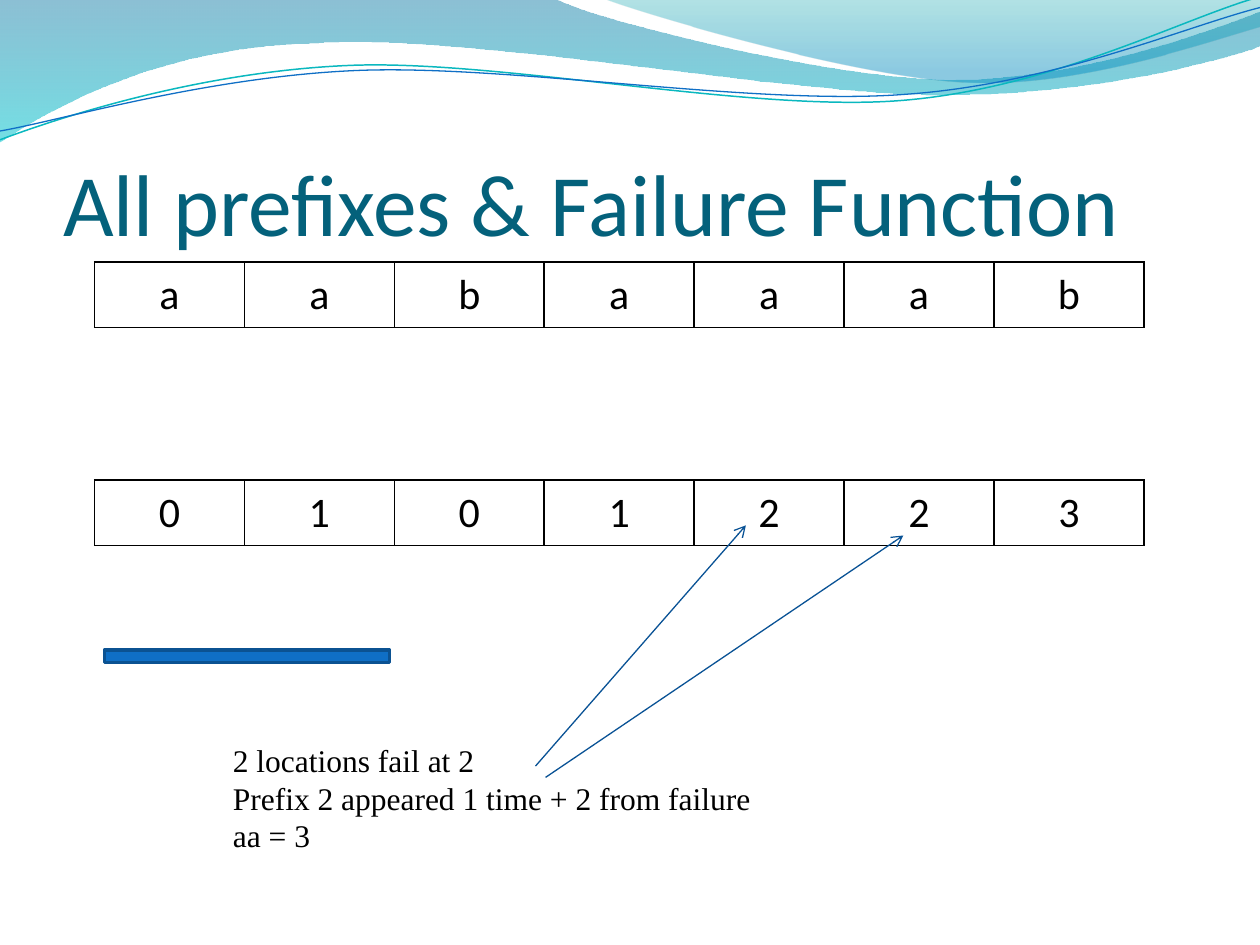
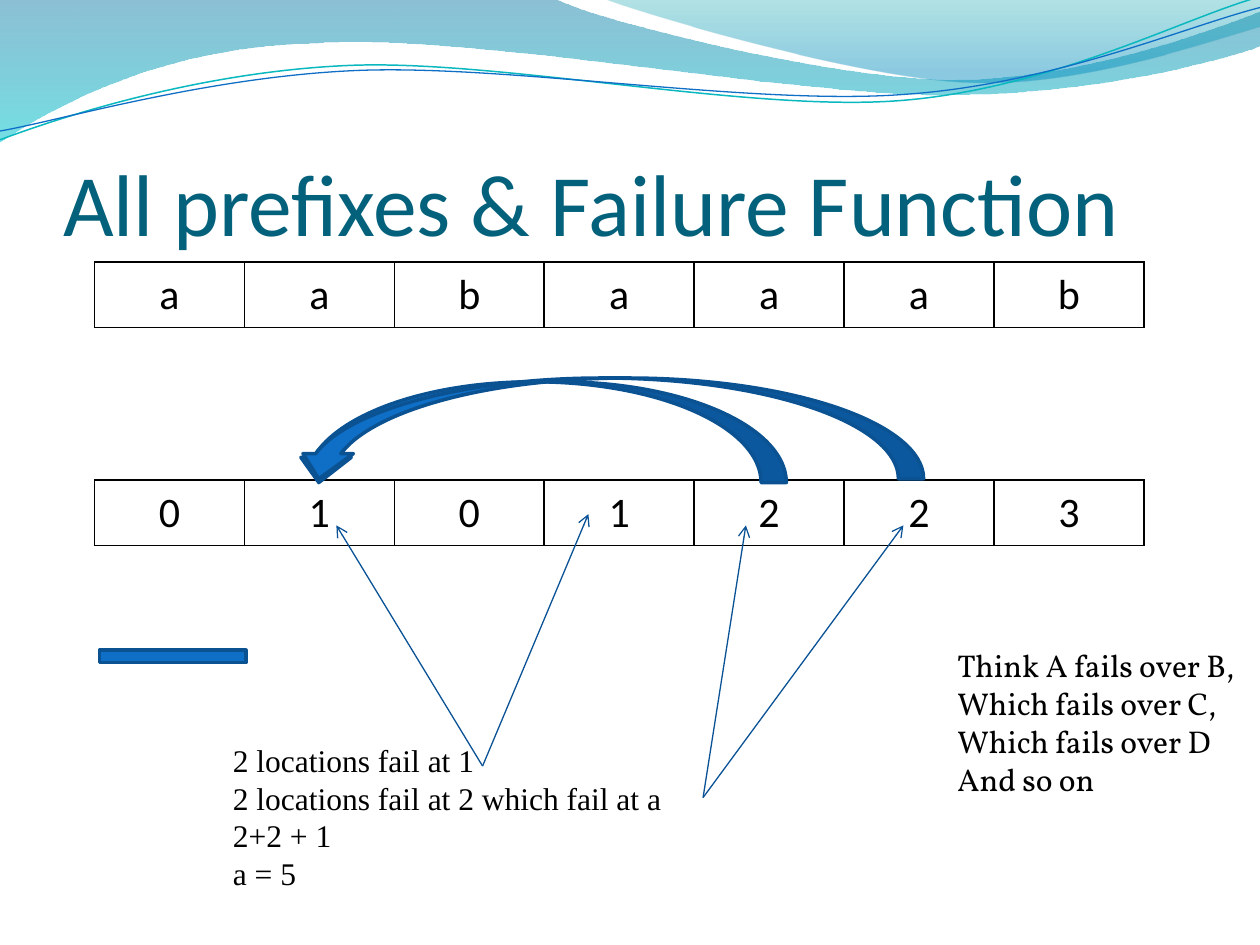
from lxml import etree
from pptx import Presentation
from pptx.dml.color import RGBColor
from pptx.enum.shapes import MSO_CONNECTOR, MSO_SHAPE
from pptx.enum.text import MSO_ANCHOR, MSO_AUTO_SIZE, PP_ALIGN
from pptx.oxml.ns import qn
from pptx.util import Inches, Pt

STRAIGHT = MSO_CONNECTOR.STRAIGHT
MINUS, CURVED_ARROW = MSO_SHAPE.MATH_MINUS, MSO_SHAPE.CURVED_UP_ARROW
LEFT, CENTER = PP_ALIGN.LEFT, PP_ALIGN.CENTER
BOTTOM = MSO_ANCHOR.BOTTOM
FIT_SHAPE, NO_FIT = MSO_AUTO_SIZE.SHAPE_TO_FIT_TEXT, MSO_AUTO_SIZE.NONE

COLORS = {
    "title": "04617B", "text": "000000", "fill": "0F6FC6", "outline": "0B5292",
    "arrow": "095295", "teal line": "0AB8BF", "blue line": "0F6FC6",
    "band top": "0074A1", "band bottom": "00C6CF",
    "corner top": "00A1A9", "corner bottom": "008BBF",
}
RGB = {name: RGBColor.from_string(value) for name, value in COLORS.items()}
TITLE = "All prefixes & Failure Function"
TABLE_LEFT, TABLE_WIDTH, ROW_HEIGHT = 0.75, 8.33, 0.52
TABLES = [(2.08, "aabaaab"), (3.81, "0101223")]  # top, one character per cell

# Each wave is a start point, then segments: 1 point is a line, 3 are a Bezier curve.
BANDS = [
    {"start": (0, 0), "segments": [
        [(4.4, -0.01)],
        [(4.76, 0.17), (6.64, 0.63), (7.58, 0.63)],
        [(8.53, 0.63), (9.58, 0.26), (10, 0.09)],
        [(10.01, 0.36)],
        [(9.83, 0.44), (8.7, 0.76), (7.46, 0.75)],
        [(6.22, 0.75), (3.82, 0.28), (2.57, 0.34)],
        [(1.29, 0.36), (0.46, 0.83), (-0.01, 1.13)],
        [(0, 0)]],
     "stops": [(0, "band top", 45), (1, "band bottom", 55)]},
    {"start": (4.79, -0.01), "segments": [
        [(5.09, 0.11), (6.82, 0.62), (7.69, 0.65)],
        [(8.56, 0.69), (9.61, 0.32), (10, 0.21)],
        [(10, 0)],
        [(4.79, -0.01)]],
     "stops": [(0, "corner top", 30), (0.8, "corner bottom", 45)]},
]
WAVE_LINES = [
    {"start": (0, 1.11), "segments": [
        [(0.48, 0.93), (1.58, 0.57), (2.77, 0.52)],
        [(3.95, 0.47), (5.93, 0.89), (7.13, 0.8)],
        [(8.33, 0.71), (9.38, 0.15), (9.98, -0.02)]],
     "line": ("teal line", 0.85)},
    {"start": (0, 1.04), "segments": [
        [(0.47, 0.96), (1.64, 0.61), (2.83, 0.56)],
        [(4.03, 0.51), (5.97, 0.84), (7.17, 0.75)],
        [(8.36, 0.67), (9.41, 0.21), (10, 0.06)]],
     "line": ("blue line", 0.75)},
]

SLIDES = [
    {"shapes": [(MINUS, 0.42, 5, 3.08, 0.42, 0)],
     "notes": [(1.75, 5.83, 4.35, 1.01, "Times New Roman",
                ["2 locations fail at 2",
                 "Prefix 2 appeared 1 time + 2 from failure",
                 "aa = 3"])],
     "arrows": [(4.33, 6.17, 7.17, 4.25), (4.25, 6.08, 5.92, 4.17)]},
    {"shapes": [(MINUS, 0.58, 5, 1.58, 0.42, 0),
                (CURVED_ARROW, 2.33, 3.03, 3.91, 0.8, 180),
                (CURVED_ARROW, 2.33, 3, 5, 0.8, 180)],
     "notes": [(1.75, 5.83, 3.78, 1.31, "Times New Roman",
                ["2 locations fail at 1",
                 "2 locations fail at 2 which fail at a",
                 "2+2 + 1",
                 "a = 5"]),
               (7.5, 5.08, 2.43, 1.31, "Vollkorn",
                ["Think A fails over B,",
                 "Which fails over C,",
                 "Which fails over D",
                 "And so on"])],
     "arrows": [(5.58, 6.33, 5.92, 4.17), (5.58, 6.33, 7.17, 4.17),
                (3.83, 6.08, 2.67, 4.17), (3.83, 6.08, 4.67, 4.08)]},
]


def draw_wave(page, wave, close):
    """Draw a freeform, then turn its three-point segments into Bezier curves."""
    points = [wave["start"]] + [point for segment in wave["segments"] for point in segment]
    points = [(Inches(x), Inches(y)) for x, y in points]
    builder = page.shapes.build_freeform(*points[0])
    builder.add_line_segments(points[1:], close=close)
    shape = builder.convert_to_shape()
    shape.shadow.inherit = False
    steps = iter(list(shape.element.iter(qn("a:lnTo"))))
    for segment in wave["segments"]:
        nodes = [next(steps) for _ in segment]
        if len(nodes) == 3:
            curve = etree.Element(qn("a:cubicBezTo"))
            nodes[0].addprevious(curve)
            for node in nodes:
                curve.append(node[0])
                node.getparent().remove(node)
    return shape


def format_text(paragraph, font_name, size, color):
    """Set font, size and colour on every run of a paragraph."""
    for span in paragraph.runs:
        span.font.name = font_name
        span.font.size = Pt(size)
        span.font.color.rgb = RGB[color]


deck = Presentation()
deck.slide_width, deck.slide_height = Inches(10), Inches(7.5)
layout = deck.slide_layouts[5]
pages = [deck.slides.add_slide(layout) for _ in SLIDES]

# Waves: drawn once, then moved to the layout that all slides share
waves = []
for band in BANDS:
    shape = draw_wave(pages[0], band, close=True)
    shape.fill.gradient()
    shape.fill.gradient_angle = 270
    for stop, (position, color, _) in zip(shape.fill.gradient_stops, band["stops"]):
        stop.position = position
        stop.color.rgb = RGB[color]
    for node, (_, _, opacity) in zip(shape.element.iter(qn("a:srgbClr")), band["stops"]):
        etree.SubElement(node, qn("a:alpha"), val=str(opacity * 1000))
    shape.line.fill.background()
    waves.append(shape)
for wave in WAVE_LINES:
    shape = draw_wave(pages[0], wave, close=False)
    color, width = wave["line"]
    shape.fill.background()
    shape.line.color.rgb = RGB[color]
    shape.line.width = Pt(width)
    waves.append(shape)
for index, shape in enumerate(waves):
    shape.name = f"Wave {index + 1}"
    shape.element.find(".//" + qn("p:cNvPr")).set("id", str(100 + index))
    layout.shapes.element.insert(2 + index, shape.element)

for page, content in zip(pages, SLIDES):
    # Title
    title = page.shapes.title
    title.left, title.top, title.width, title.height = map(Inches, (0.5, 0.77, 9, 1.25))
    frame = title.text_frame
    frame.text = TITLE
    frame.auto_size = NO_FIT
    frame.vertical_anchor = BOTTOM
    frame.margin_left = frame.margin_right = frame.margin_bottom = 0
    frame.margin_top = Inches(0.05)
    frame.paragraphs[0].alignment = LEFT
    format_text(frame.paragraphs[0], "Calibri", 50, "title")

    # String and its failure function
    for top, letters in TABLES:
        table = page.shapes.add_table(
            1, len(letters), Inches(TABLE_LEFT), Inches(top),
            Inches(TABLE_WIDTH), Inches(ROW_HEIGHT)).table
        table.first_row = table.horz_banding = False
        for cell, letter in zip(table.rows[0].cells, letters):
            cell.text = letter
            cell.fill.background()
            cell.margin_left = cell.margin_right = Inches(0.07)
            cell.margin_top = cell.margin_bottom = 0
            para = cell.text_frame.paragraphs[0]
            para.alignment = CENTER
            para.line_spacing = 1.15
            format_text(para, "Calibri", 24, "text")
            properties = cell.text_frame._txBody.getparent().find(qn("a:tcPr"))
            for index, side in enumerate(("a:lnL", "a:lnR", "a:lnT", "a:lnB")):
                border = etree.Element(qn(side), w=str(Pt(1)))
                solid = etree.SubElement(border, qn("a:solidFill"))
                etree.SubElement(solid, qn("a:srgbClr"), val=COLORS["text"])
                properties.insert(index, border)

    # Prefix bar and curved arrows
    for kind, left, top, width, height, rotation in content["shapes"]:
        shape = page.shapes.add_shape(
            kind, Inches(left), Inches(top), Inches(width), Inches(height))
        shape.rotation = rotation
        shape.shadow.inherit = False
        shape.fill.solid()
        shape.fill.fore_color.rgb = RGB["fill"]
        shape.line.color.rgb = RGB["outline"]
        shape.line.width = Pt(2)

    # Notes
    for left, top, width, height, font_name, lines in content["notes"]:
        box = page.shapes.add_textbox(
            Inches(left), Inches(top), Inches(width), Inches(height))
        frame = box.text_frame
        frame.word_wrap = False
        frame.auto_size = FIT_SHAPE
        frame.text = "\n".join(lines)
        for para in frame.paragraphs:
            format_text(para, font_name, 18, "text")

    # Arrows from the notes to the table cells
    for ends in content["arrows"]:
        arrow = page.shapes.add_connector(STRAIGHT, *map(Inches, ends))
        arrow.line.color.rgb = RGB["arrow"]
        arrow.line.width = Pt(0.75)
        outline = arrow.element.find(".//" + qn("a:ln"))
        etree.SubElement(outline, qn("a:tailEnd"), type="arrow")
        etree.SubElement(arrow.element.find(qn("p:spPr")), qn("a:effectLst"))

deck.save("out.pptx")
